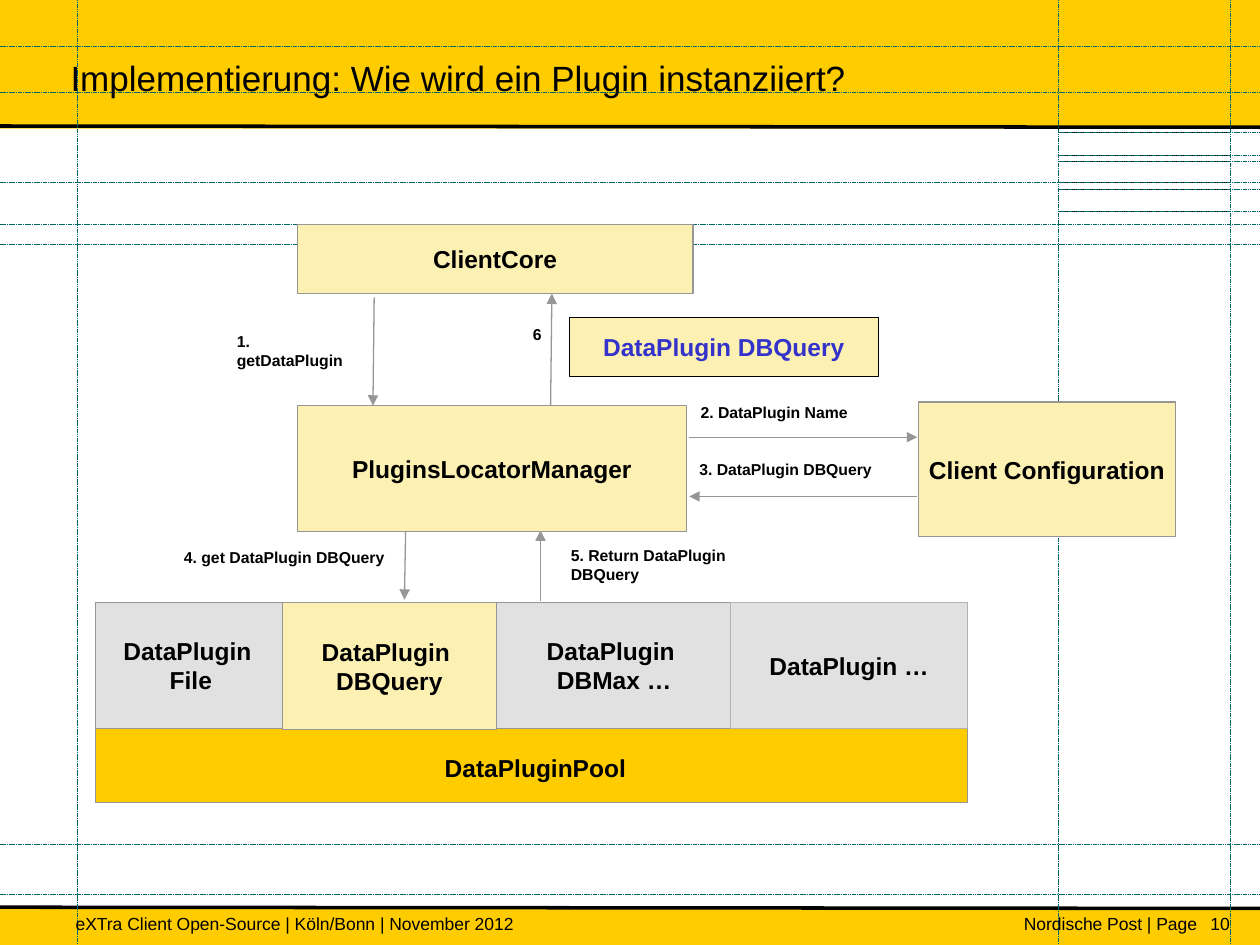
from lxml.etree import SubElement
from pptx import Presentation
from pptx.dml.color import RGBColor
from pptx.enum.dml import MSO_LINE
from pptx.enum.shapes import MSO_CONNECTOR, MSO_SHAPE
from pptx.enum.text import MSO_ANCHOR, PP_ALIGN
from pptx.oxml.ns import qn
from pptx.util import Inches, Pt

COLUMNS, ROWS = 100, 75
SLIDE_WIDTH, SLIDE_HEIGHT = Inches(10), Inches(7.5)
FONT = "Arial"

BLACK = RGBColor(0x00, 0x00, 0x00)
WHITE = RGBColor(0xFF, 0xFF, 0xFF)
YELLOW = RGBColor(0xFF, 0xCC, 0x00)
CREAM = RGBColor(0xFC, 0xF0, 0xB2)
LIGHT_GRAY = RGBColor(0xE1, 0xE1, 0xE1)
MID_GRAY = RGBColor(0xB2, 0xB2, 0xB2)
GRAY = RGBColor(0x96, 0x96, 0x96)
TEAL = RGBColor(0x00, 0x66, 0x66)
BLUE = RGBColor(0x33, 0x33, 0xCC)

MARGIN_LEFT, SIDEBAR_LEFT, SIDEBAR_RIGHT = 6.1, 84, 97.6
SIDEBAR_ROWS = [10.5, 12.3, 12.8, 14.5, 15, 16.8]
GUIDE_ROWS = [3.7, 7.3, 14.5, 17.8, 19.4, 67, 71]

# left, top, width, height, lines, fill, outline, text colour
BOXES = [
    (7.6, 57.6, 69.2, 6.1, [], YELLOW, GRAY, BLACK),
    (7.6, 47.8, 15.1, 10, ["DataPlugin ", "File"], LIGHT_GRAY, GRAY, BLACK),
    (22.4, 47.8, 17, 10.1, ["DataPlugin ", "DBQuery"], CREAM, GRAY, BLACK),
    (39.4, 47.8, 18.7, 10, ["DataPlugin ", "DBMax …"], LIGHT_GRAY, GRAY, BLACK),
    (58, 47.8, 18.8, 10, ["DataPlugin …"], LIGHT_GRAY, MID_GRAY, BLACK),
    (23.6, 32.2, 30.9, 10, ["PluginsLocatorManager"], CREAM, GRAY, BLACK),
    (72.9, 31.9, 20.4, 10.7, ["Client Configuration"], CREAM, GRAY, BLACK),
    (23.6, 17.8, 31.4, 5.5, ["ClientCore"], CREAM, GRAY, BLACK),
    (45.2, 25.2, 24.5, 4.7, ["DataPlugin DBQuery"], CREAM, BLACK, BLUE),
]

ARROWS = [
    (32.3, 36.1, 32.1, 47.6),
    (29.7, 23.6, 29.6, 32.2),
    (54.7, 34.7, 72.8, 34.7),
    (43.7, 32.3, 43.8, 23.3),
    (72.8, 39.4, 54.7, 39.4),
    (42.9, 47.7, 42.9, 42.1),
]

# left, top, width, text, wraps
STEP_LABELS = [
    (17.2, 25.6, 12.9, "1. getDataPlugin", False),
    (54, 31.2, 16.9, "2. DataPlugin Name", True),
    (53.9, 35.7, 20.5, "3. DataPlugin DBQuery", True),
    (13, 42.7, 23.6, "4. get DataPlugin DBQuery", True),
    (43.7, 42.6, 21.2, "5. Return DataPlugin DBQuery", False),
    (40.7, 25, 3.9, "6", False),
]


def column(count):
    return round(SLIDE_WIDTH * count / COLUMNS)


def row(count):
    return round(SLIDE_HEIGHT * count / ROWS)


def area(left, top, width, height):
    return column(left), row(top), column(width), row(height)


def write(shape, lines, size, color=BLACK, bold=False, align=PP_ALIGN.LEFT,
          anchor=MSO_ANCHOR.TOP, inset=(0, 0), wrap=True):
    """Fill a shape with one paragraph per line; inset is columns and rows."""
    frame = shape.text_frame
    frame.word_wrap = wrap
    frame.vertical_anchor = anchor
    frame.margin_left = frame.margin_right = column(inset[0])
    frame.margin_top = frame.margin_bottom = row(inset[1])
    for index, line in enumerate(lines):
        para = frame.add_paragraph() if index else frame.paragraphs[0]
        para.alignment = align
        span = para.add_run()
        span.text = line
        span.font.name = FONT
        span.font.size = Pt(size)
        span.font.bold = bold
        span.font.color.rgb = color


def add_label(page, place, text, size, **style):
    label = page.shapes.add_textbox(*area(*place))
    write(label, [text], size, **style)
    return label


def add_box(page, place, fill, outline=None):
    box = page.shapes.add_shape(MSO_SHAPE.RECTANGLE, *area(*place))
    box.shadow.inherit = False
    box.fill.solid()
    box.fill.fore_color.rgb = fill
    if outline is None:
        box.line.fill.background()
    else:
        box.line.color.rgb = outline
        box.line.width = Pt(0.75)
    return box


def add_line(page, ends, color, width, dash=None):
    left, top, right, bottom = ends
    line = page.shapes.add_connector(MSO_CONNECTOR.STRAIGHT, column(left), row(top),
                                     column(right), row(bottom))
    line.line.color.rgb = color
    line.line.width = Pt(width)
    if dash is not None:
        line.line.dash_style = dash
    SubElement(line._element.spPr, qn("a:effectLst"))
    return line


def add_arrow(page, ends):
    arrow = add_line(page, ends, GRAY, 0.75)
    SubElement(arrow.line._get_or_add_ln(), qn("a:tailEnd"), type="triangle")


def add_frame(page):
    """White body between the yellow bands, with rules and layout guides."""
    page.background.fill.solid()
    page.background.fill.fore_color.rgb = YELLOW
    add_box(page, (0, 10.2, COLUMNS, 61.8), WHITE)
    for level in (10, 72):
        add_line(page, (0, level, COLUMNS, level + 0.1), BLACK, 2)
    for level in SIDEBAR_ROWS:
        add_line(page, (SIDEBAR_LEFT, level, SIDEBAR_RIGHT, level), BLACK, 0.25)
    guides = [(x, 0, x, ROWS) for x in (MARGIN_LEFT, SIDEBAR_LEFT, SIDEBAR_RIGHT)]
    guides += [(COLUMNS, y, 0, y) for y in GUIDE_ROWS]
    guides += [(COLUMNS, y, SIDEBAR_LEFT, y) for y in SIDEBAR_ROWS if y not in GUIDE_ROWS]
    for ends in guides:
        add_line(page, ends, TEAL, 0.25, MSO_LINE.SQUARE_DOT)


def add_title_and_footer(page):
    title = add_label(page, (5.6, 4.1, 77.1, 3.7),
                      "Implementierung: Wie wird ein Plugin instanziiert?", 20,
                      anchor=MSO_ANCHOR.BOTTOM)
    title.text_frame.paragraphs[0].line_spacing = 1.1
    add_label(page, (6, 72.5, 53.9, 1.7),
              "eXTra Client Open-Source | Köln/Bonn | November 2012", 10)
    add_label(page, (65.6, 72.5, 29.4, 1.7), "Nordische Post | Page", 10,
              align=PP_ALIGN.RIGHT)
    add_label(page, (88.2, 72.5, 9.4, 2), "10", 10, align=PP_ALIGN.RIGHT)


def add_diagram(page):
    for ends in ARROWS:
        add_arrow(page, ends)
    for *place, lines, fill, outline, color in BOXES:
        box = add_box(page, place, fill, outline)
        write(box, lines, 14, color, bold=True, align=PP_ALIGN.CENTER,
              anchor=MSO_ANCHOR.MIDDLE, inset=(1.6, 0.8), wrap=False)
    add_label(page, (33.7, 59, 18, 5), "DataPluginPool", 14, bold=True, inset=(1.6, 0.8))
    for left, top, width, text, wrap in STEP_LABELS:
        add_label(page, (left, top, width, 4.7), text, 9, bold=True,
                  inset=(1.6, 0.8), wrap=wrap)


def main():
    deck = Presentation()
    deck.slide_width, deck.slide_height = SLIDE_WIDTH, SLIDE_HEIGHT
    page = deck.slides.add_slide(deck.slide_layouts[6])
    add_frame(page)
    add_title_and_footer(page)
    add_diagram(page)
    deck.save("out.pptx")


if __name__ == "__main__":
    main()
